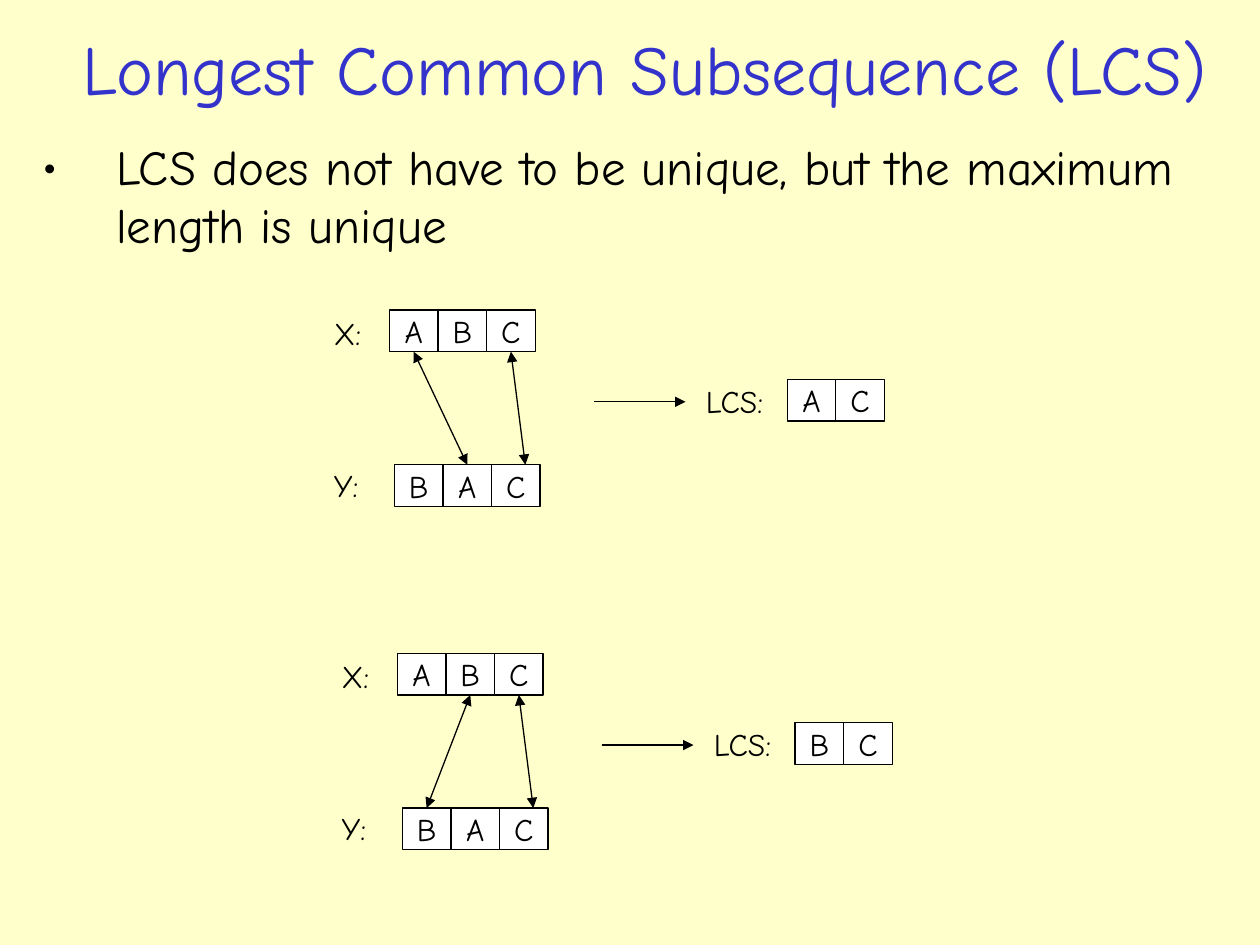
"""Build a slide showing that a longest common subsequence need not be unique."""
from dataclasses import dataclass

from lxml import etree
from pptx import Presentation
from pptx import util as u
from pptx.dml.color import RGBColor
from pptx.enum import shapes, text
from pptx.oxml.ns import qn


@dataclass(frozen=True)
class Theme:
    """Hold the colours and type sizes of the slide."""
    font: str = "Comic Neue"
    paper: RGBColor = RGBColor(0xFF, 0xFF, 0xCC)
    accent: RGBColor = RGBColor(0x33, 0x33, 0xCC)
    ink: RGBColor = RGBColor(0, 0, 0)
    cell: RGBColor = RGBColor(0xFF, 0xFF, 0xFF)
    title_size: int = 40
    body_size: int = 28
    label_size: int = 18
    line_width: float = 0.75


CELL_WIDTH, CELL_HEIGHT = 0.98, 0.84


def write(shape, words, *, size, color, font, align=text.PP_ALIGN.LEFT,
          anchor=text.MSO_ANCHOR.TOP, wrap=True, bullet_indent=None):
    """Put one formatted paragraph into a shape."""
    frame = shape.text_frame
    frame.word_wrap = wrap
    frame.vertical_anchor = anchor
    para = frame.paragraphs[0]
    para.alignment = align
    if bullet_indent is not None:
        properties = para._p.get_or_add_pPr()
        properties.set("marL", str(u.Cm(bullet_indent)))
        properties.set("indent", str(-u.Cm(bullet_indent)))
        etree.SubElement(properties, qn("a:buFont"), typeface=font)
        etree.SubElement(properties, qn("a:buChar"), char="•")
    span = para.add_run()
    span.text = words
    span.font.name = font
    span.font.size = u.Pt(size)
    span.font.color.rgb = color


class SlidePainter:
    """Draw styled elements on the current slide."""

    def __init__(self, page, theme):
        """Keep the slide and its style, and colour the background."""
        self.page, self.theme = page, theme
        page.background.fill.solid()
        page.background.fill.fore_color.rgb = theme.paper

    def textbox(self, words, left, top, width, height, **style):
        """Add a text box and return it."""
        box = self.page.shapes.add_textbox(*map(u.Cm, (left, top, width, height)))
        write(box, words, **{"font": self.theme.font, "color": self.theme.ink, **style})
        return box

    def label(self, words, left, top, width):
        """Add a short unwrapped label."""
        self.textbox(words, left, top, width, 1.02,
                     size=self.theme.label_size, wrap=False)

    def cell(self, letter, left, top):
        """Add one bordered letter cell and return it."""
        box = self.page.shapes.add_shape(
            shapes.MSO_SHAPE.RECTANGLE,
            *map(u.Cm, (left, top, CELL_WIDTH, CELL_HEIGHT)))
        box.shadow.inherit = False
        box.fill.solid()
        box.fill.fore_color.rgb = self.theme.cell
        box.line.color.rgb = self.theme.ink
        box.line.width = u.Pt(self.theme.line_width)
        write(box, letter, size=self.theme.label_size, color=self.theme.ink,
              font=self.theme.font, align=text.PP_ALIGN.CENTER,
              anchor=text.MSO_ANCHOR.MIDDLE, wrap=False)
        return box

    def sequence(self, letters, left, top):
        """Add a row of cells and return them by letter."""
        return {letter: self.cell(letter, left + column * CELL_WIDTH, top)
                for column, letter in enumerate(letters)}

    def arrow(self, start, end, both=False):
        """Add an arrow between two points and return it."""
        line = self.page.shapes.add_connector(
            shapes.MSO_CONNECTOR.STRAIGHT, *start, *end)
        line.line.color.rgb = self.theme.ink
        line.line.width = u.Pt(self.theme.line_width)
        stroke = line.line._get_or_add_ln()
        for tag in ("a:headEnd", "a:tailEnd") if both else ("a:tailEnd",):
            etree.SubElement(stroke, qn(tag), type="triangle")
        etree.SubElement(line._element.spPr, qn("a:effectLst"))
        return line

    def match(self, upper, lower, shift=0):
        """Link two equal letters, ending off the lower middle by the shift."""
        start = (upper.left + upper.width // 2, upper.top + upper.height)
        end = (lower.left + lower.width // 2 + u.Cm(shift), lower.top)
        line = self.arrow(start, end, both=True)
        line.begin_connect(upper, 2)
        if not shift:
            line.end_connect(lower, 0)

    def example(self, common, left, top):
        """Draw sequences X and Y, their matches and the resulting LCS."""
        x_cells = self.sequence("ABC", left, top)
        y_cells = self.sequence("BAC", left + 0.1, top + 3.12)
        first, last = common
        self.match(x_cells[first], y_cells[first])
        self.match(x_cells[last], y_cells[last], shift=0.19)
        self.sequence(common, left + 8.02, top + 1.4)
        self.label("LCS:", left + 6.13, top + 1.32, 1.8)
        for name, drop in (("X:", -0.04), ("Y:", 3.02)):
            self.label(name, left - 1.37, top + drop, 1.3)
        height = u.Cm(top + 1.85)
        self.arrow((u.Cm(left + 4.12), height), (u.Cm(left + 5.97), height))


def main():
    """Build and save the deck."""
    deck = Presentation()
    deck.slide_width, deck.slide_height = u.Cm(25.4), u.Cm(19.05)
    theme = Theme()
    painter = SlidePainter(deck.slides.add_slide(deck.slide_layouts[6]), theme)
    painter.textbox("Longest Common Subsequence (LCS)", 0.76, 0.4, 24.46, 1.93,
                    size=theme.title_size, color=theme.accent,
                    align=text.PP_ALIGN.CENTER, anchor=text.MSO_ANCHOR.MIDDLE)
    painter.textbox("LCS does not have to be unique, but the maximum length is unique",
                    0.61, 2.62, 24.18, 2.82, size=theme.body_size, bullet_indent=1.48)
    for row, common in enumerate(("AC", "BC")):
        painter.example(common, 7.85 + 0.16 * row, 6.25 + 6.92 * row)
    deck.save("out.pptx")


if __name__ == "__main__":
    main()
